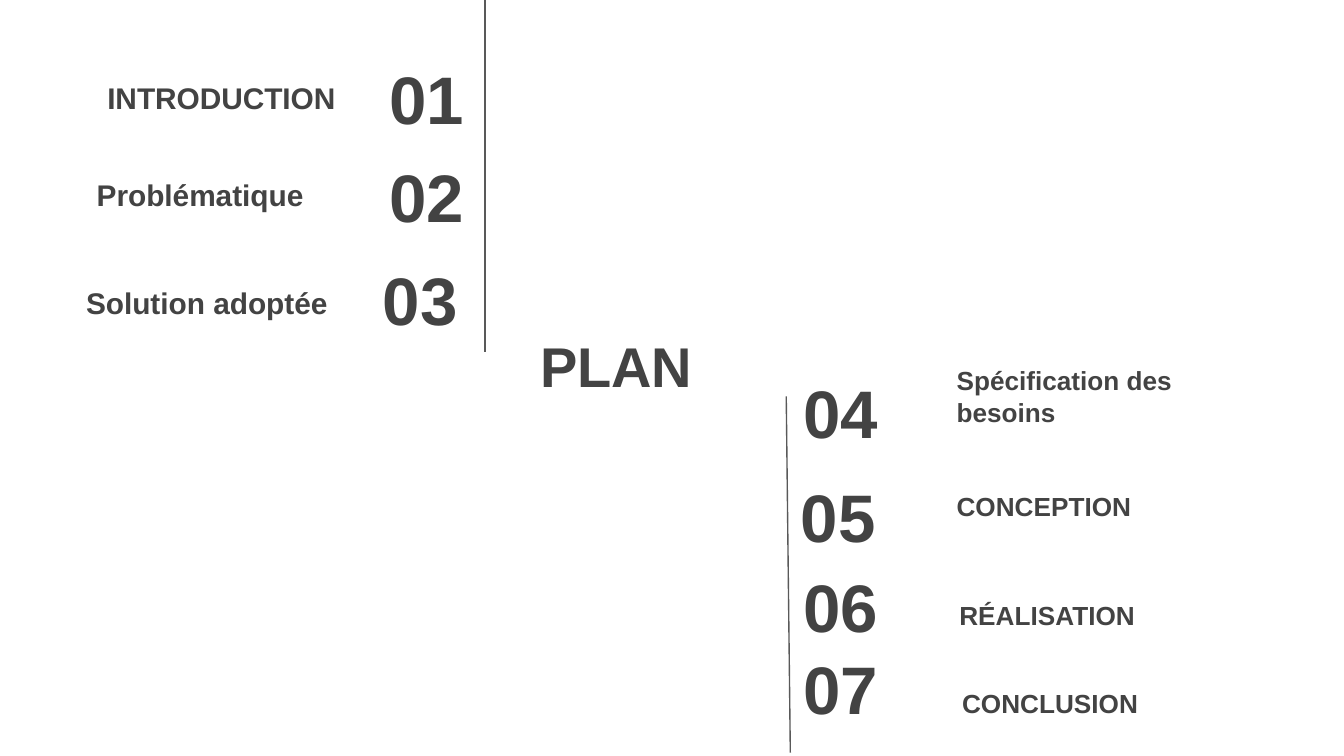
from lxml import etree
from pptx import Presentation
from pptx.dml.color import RGBColor
from pptx.enum.shapes import MSO_CONNECTOR
from pptx.enum.text import MSO_ANCHOR, MSO_AUTO_SIZE, PP_ALIGN
from pptx.oxml.ns import qn
from pptx.util import Pt

LEFT, CENTER, RIGHT = PP_ALIGN.LEFT, PP_ALIGN.CENTER, PP_ALIGN.RIGHT
MIDDLE, BOTTOM = MSO_ANCHOR.MIDDLE, MSO_ANCHOR.BOTTOM
STRAIGHT = MSO_CONNECTOR.STRAIGHT

COLORS = {"background": "FFFFFF", "text": "434343", "rule": "595959"}
FONT = "Arial"
INSET = 7.2
ROW_HEIGHT = 45.4

presentation = Presentation()
presentation.slide_width = Pt(720)
presentation.slide_height = Pt(405)
slide = presentation.slides.add_slide(presentation.slide_layouts[5])
slide.background.fill.solid()
slide.background.fill.fore_color.rgb = RGBColor.from_string(COLORS["background"])


def write(box, text, size, align, anchor, insets=(INSET,) * 4):
    """Fill a box with one bold paragraph; insets are left, top, right, bottom."""
    frame = box.text_frame
    frame.word_wrap = True
    frame.auto_size = MSO_AUTO_SIZE.NONE
    frame.vertical_anchor = anchor
    (frame.margin_left, frame.margin_top,
     frame.margin_right, frame.margin_bottom) = map(Pt, insets)
    paragraph = frame.paragraphs[0]
    paragraph.text = text
    paragraph.alignment = align
    font = paragraph.font
    font.name = FONT
    font.size = Pt(size)
    font.bold = True
    font.color.rgb = RGBColor.from_string(COLORS["text"])


# Heading
heading = slide.shapes.title
heading.left, heading.top = Pt(236.9), Pt(158.4)
heading.width, heading.height = Pt(186.5), Pt(74.2)
write(heading, "PLAN", 30, CENTER, MIDDLE)

# Chapter numbers: text, left, top, width, alignment
numbers = [
    ("01", 168.5, 29.5, 87.1, RIGHT),
    ("02", 168.5, 82.1, 87.1, RIGHT),
    ("03", 198, 137.5, 84.2, LEFT),
    ("04", 423.4, 198, 84.2, LEFT),
    ("05", 421.9, 253.4, 84.2, LEFT),
    ("06", 423.4, 301.7, 84.2, LEFT),
    ("07", 423.4, 345.6, 84.2, LEFT),
]
for number, left, top, width, align in numbers:
    box = slide.shapes.add_textbox(Pt(left), Pt(top), Pt(width), Pt(ROW_HEIGHT))
    write(box, number, 36, align, MIDDLE)

# Chapter names: text, left, top, width, height, size
names = [
    ("INTRODUCTION", 50.4, 23.8, 155.5, ROW_HEIGHT, 16),
    ("Spécification des besoins", 505.4, 190.8, 183.6, ROW_HEIGHT, 14),
    ("CONCEPTION", 505.4, 241.2, 155.5, ROW_HEIGHT, 14),
    ("RÉALISATION", 506.9, 310.3, 155.5, 34.6, 14),
    ("CONCLUSION", 508.3, 357.8, 155.5, 34.6, 14),
]
for name, left, top, width, height, size in names:
    box = slide.shapes.add_textbox(Pt(left), Pt(top), Pt(width), Pt(height))
    write(box, name, size, LEFT, BOTTOM)

# Right-aligned names sit one line above the bottom of their box
raised_names = [("Problématique", -73.4, 94.3), ("Solution adoptée", -60.5, 151.9)]
for name, left, top in raised_names:
    box = slide.shapes.add_textbox(Pt(left), Pt(top), Pt(247.7), Pt(ROW_HEIGHT))
    write(box, name, 16, RIGHT, BOTTOM, insets=(INSET, 0, 11.6, 25.6))

# Rules beside the two groups of numbers
for x1, y1, x2, y2 in [(259.9, 0, 259.9, 188.6), (421.2, 212.4, 423.4, 403.2)]:
    rule = slide.shapes.add_connector(STRAIGHT, Pt(x1), Pt(y1), Pt(x2), Pt(y2))
    rule.line.color.rgb = RGBColor.from_string(COLORS["rule"])
    rule.line.width = Pt(0.75)
    etree.SubElement(rule._element.spPr, qn("a:effectLst"))

presentation.save("out.pptx")
